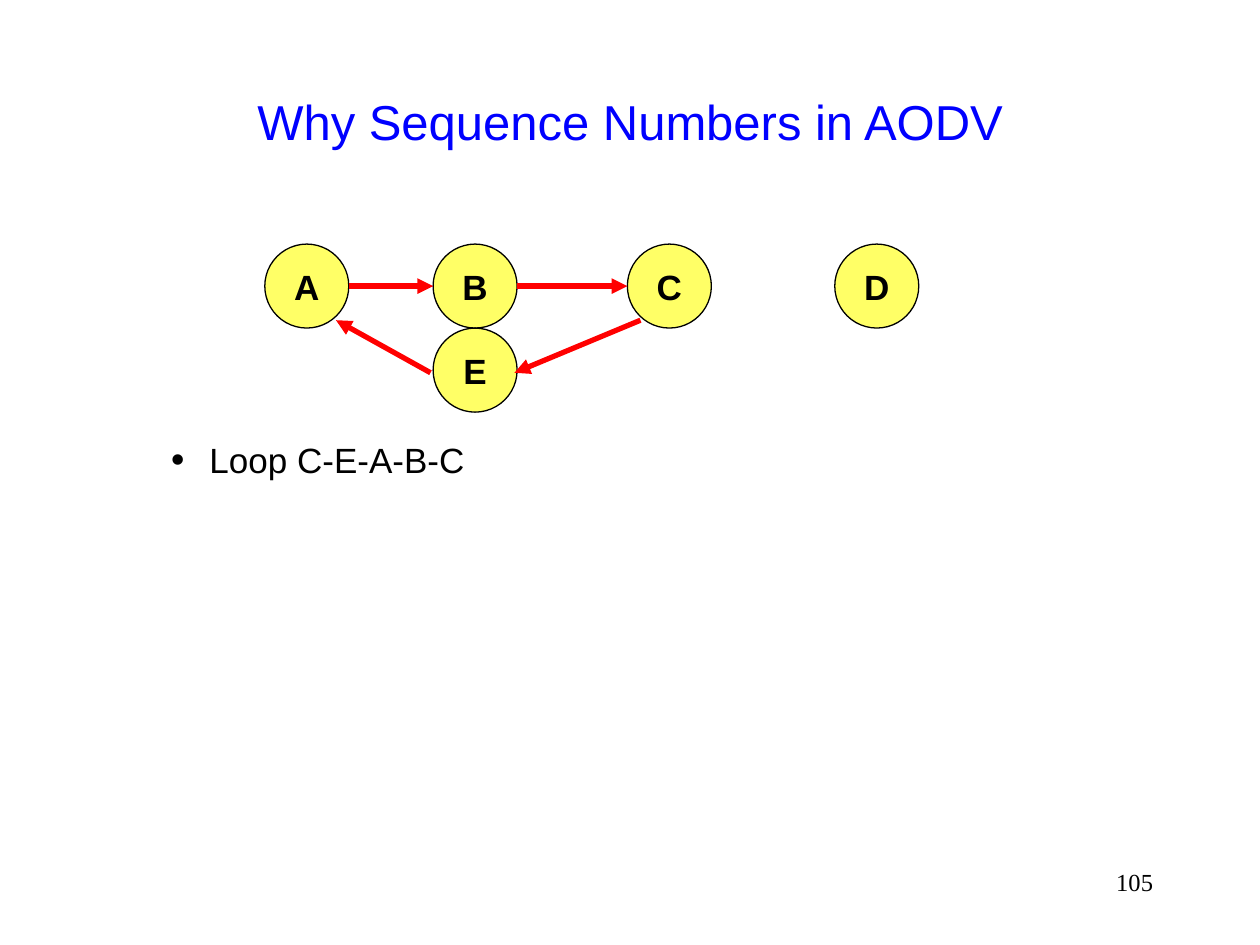
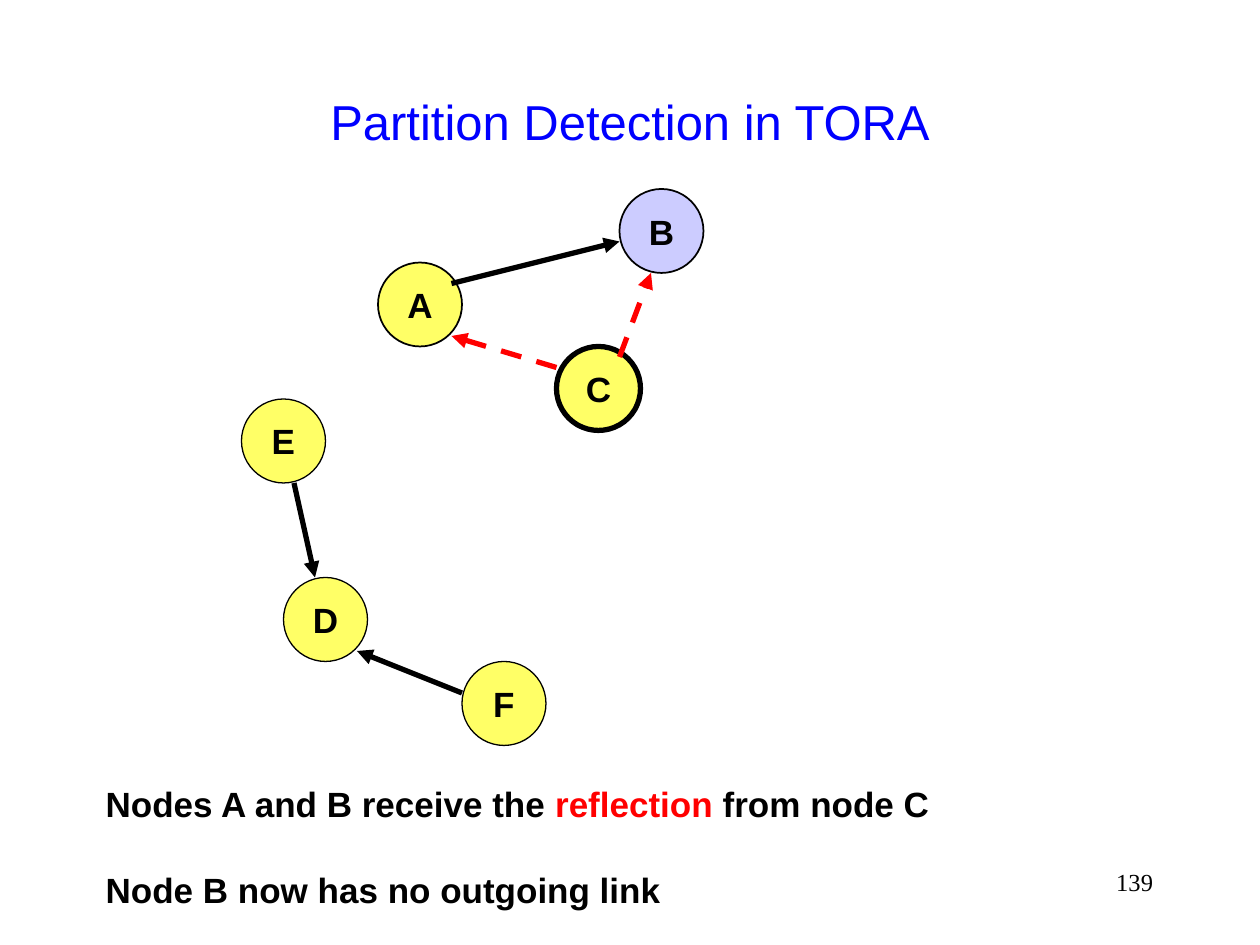
"""Build two slides on routing in mobile ad hoc networks."""

from dataclasses import dataclass

from lxml import etree
from pptx import Presentation
from pptx.dml.color import RGBColor
from pptx.enum import dml, shapes, text as text_enum
from pptx.oxml import ns
from pptx.util import Pt


@dataclass(frozen=True)
class Theme:
    """Colours, fonts, type sizes and line widths."""

    ink: str = "000000"
    title: str = "0000FF"
    accent: str = "FF0000"
    node: str = "FFFF66"
    marked_node: str = "CCCCFF"
    font: str = "Arial"
    number_font: str = "Times New Roman"
    title_size: float = 28
    text_size: float = 20
    number_size: float = 14
    thin: float = 0.75
    medium: float = 1
    thick: float = 3


THEME = Theme()
ALIGN = text_enum.PP_ALIGN
ANCHOR = text_enum.MSO_ANCHOR
FIT = text_enum.MSO_AUTO_SIZE
NODE_SIZE = 48
TITLE_BOX = (54, 24, 612, 90)
BODY_BOX = (54, 120, 612, 360)
NUMBER_BOX = (516, 492, 150, 36)
NOTE_BOX = (53.3, 444, 486.7, 79.2)


@dataclass(frozen=True)
class Node:
    """A labelled circle, placed by its top left corner."""

    label: str
    left: float
    top: float
    fill: str = THEME.node
    outline: float = THEME.thin


@dataclass(frozen=True)
class Link:
    """An arrow from start to end."""

    start: tuple[float, float]
    end: tuple[float, float]
    color: str = THEME.ink
    dashed: bool = False


ROW_TOP = 139.5
ROW_MIDDLE = ROW_TOP + NODE_SIZE / 2
A_LEFT, B_LEFT, C_LEFT, D_LEFT = 151.3, 247.5, 358.5, 477

LOOP_NODES = [
    Node("A", A_LEFT, ROW_TOP),
    Node("B", B_LEFT, ROW_TOP),
    Node("C", C_LEFT, ROW_TOP),
    Node("D", D_LEFT, ROW_TOP),
    Node("E", B_LEFT, ROW_TOP + NODE_SIZE),
]
LOOP_LINKS = [
    Link((A_LEFT + NODE_SIZE, ROW_MIDDLE), (B_LEFT, ROW_MIDDLE), THEME.accent),
    Link((B_LEFT + NODE_SIZE, ROW_MIDDLE), (C_LEFT, ROW_MIDDLE), THEME.accent),
    Link((246, 213), (192, 183), THEME.accent),
    Link((366, 183), (294, 213), THEME.accent),
]
PARTITION_NODES = [
    Node("A", 216, 150, outline=THEME.medium),
    Node("B", 354, 108, THEME.marked_node, THEME.medium),
    Node("E", 138, 228),
    Node("D", 162, 330),
    Node("F", 264, 378),
    Node("C", 318, 198, outline=THEME.thick),
]
PARTITION_LINKS = [
    Link((258, 162), (354, 138)),
    Link((318, 210), (258, 192), THEME.accent, dashed=True),
    Link((168, 276), (180, 330)),
    Link((264, 396), (204, 372)),
    Link((354, 204), (372, 156), THEME.accent, dashed=True),
]


def write(paragraph, text: str, *, size: float = THEME.text_size, color: str = THEME.ink,
          font: str = THEME.font, bold: bool = False, align=ALIGN.LEFT) -> None:
    """Append a formatted run to a paragraph."""
    paragraph.alignment = align
    run = paragraph.add_run()
    run.text = text
    run.font.name = font
    run.font.size = Pt(size)
    run.font.bold = bold
    run.font.color.rgb = RGBColor.from_string(color)


def place(shape, box: tuple[float, float, float, float]) -> None:
    """Move and size a shape in points."""
    shape.left, shape.top, shape.width, shape.height = map(Pt, box)


def add_node(slide, node: Node) -> None:
    """Draw a labelled circle."""
    shape = slide.shapes.add_shape(shapes.MSO_SHAPE.OVAL, Pt(node.left), Pt(node.top),
                                   Pt(NODE_SIZE), Pt(NODE_SIZE))
    shape.shadow.inherit = False
    shape.fill.solid()
    shape.fill.fore_color.rgb = RGBColor.from_string(node.fill)
    shape.line.color.rgb = RGBColor.from_string(THEME.ink)
    shape.line.width = Pt(node.outline)
    frame = shape.text_frame
    frame.word_wrap = False
    frame.vertical_anchor = ANCHOR.MIDDLE
    write(frame.paragraphs[0], node.label, bold=True, align=ALIGN.CENTER)


def add_link(slide, link: Link) -> None:
    """Draw an arrow with a triangular head."""
    connector = slide.shapes.add_connector(shapes.MSO_CONNECTOR.STRAIGHT,
                                           *map(Pt, link.start + link.end))
    line = connector.line
    line.color.rgb = RGBColor.from_string(link.color)
    line.width = Pt(THEME.thick)
    if link.dashed:
        line.dash_style = dml.MSO_LINE.DASH
    properties = connector._element.spPr
    outline = properties.find(ns.qn("a:ln"))
    etree.SubElement(outline, ns.qn("a:tailEnd"), type="triangle")
    etree.SubElement(properties, ns.qn("a:effectLst"))


def add_bullet(paragraph, indent: float, hanging: float) -> None:
    """Give a paragraph a round bullet and a hanging indent."""
    properties = paragraph._p.get_or_add_pPr()
    properties.set("marL", str(Pt(indent)))
    properties.set("indent", str(-Pt(hanging)))
    color = etree.SubElement(properties, ns.qn("a:buClr"))
    etree.SubElement(color, ns.qn("a:srgbClr"), val=THEME.ink)
    etree.SubElement(properties, ns.qn("a:buSzPct"), val="125000")
    etree.SubElement(properties, ns.qn("a:buFont"), typeface=THEME.number_font)
    etree.SubElement(properties, ns.qn("a:buChar"), char="•")


def add_slide(presentation, layout: int, title: str, number: int,
              nodes: list[Node], links: list[Link]):
    """Add a slide with its title, page number and network."""
    slide = presentation.slides.add_slide(presentation.slide_layouts[layout])
    heading = slide.shapes.title
    place(heading, TITLE_BOX)
    heading.text_frame.auto_size = FIT.NONE
    heading.text_frame.vertical_anchor = ANCHOR.MIDDLE
    write(heading.text_frame.paragraphs[0], title, size=THEME.title_size,
          color=THEME.title, align=ALIGN.CENTER)
    for node in nodes:
        add_node(slide, node)
    for link in links:
        add_link(slide, link)
    page = slide.shapes.add_textbox(*map(Pt, NUMBER_BOX)).text_frame
    page.word_wrap = True
    write(page.paragraphs[0], str(number), size=THEME.number_size,
          font=THEME.number_font, align=ALIGN.RIGHT)
    return slide


def add_loop_slide(presentation) -> None:
    """Show the routing loop that sequence numbers prevent."""
    slide = add_slide(presentation, 1, "Why Sequence Numbers in AODV", 105,
                      LOOP_NODES, LOOP_LINKS)
    body = slide.placeholders[1]
    place(body, BODY_BOX)
    frame = body.text_frame
    frame.auto_size = FIT.NONE
    frame.margin_top = Pt(130.5)
    paragraph = frame.paragraphs[0]
    paragraph.level = 1
    paragraph.space_before = Pt(0)
    write(paragraph, "Loop C-E-A-B-C")
    add_bullet(paragraph, indent=58.5, hanging=22.5)


def add_partition_slide(presentation) -> None:
    """Show how a reflection reveals a partition."""
    slide = add_slide(presentation, 5, "Partition Detection in TORA", 139,
                      PARTITION_NODES, PARTITION_LINKS)
    frame = slide.shapes.add_textbox(*map(Pt, NOTE_BOX)).text_frame
    frame.word_wrap = False
    frame.auto_size = FIT.SHAPE_TO_FIT_TEXT
    frame.vertical_anchor = ANCHOR.MIDDLE
    reflection = frame.paragraphs[0]
    write(reflection, "Nodes A and B receive the ", bold=True)
    write(reflection, "reflection", bold=True, color=THEME.accent)
    write(reflection, " from node C", bold=True)
    outcome = frame.add_paragraph()
    outcome.space_before = Pt(25)
    write(outcome, "Node B now has no outgoing link", bold=True)


def main() -> None:
    """Build and save the presentation."""
    presentation = Presentation()
    presentation.slide_width, presentation.slide_height = Pt(720), Pt(540)
    add_loop_slide(presentation)
    add_partition_slide(presentation)
    presentation.save("out.pptx")


if __name__ == "__main__":
    main()
